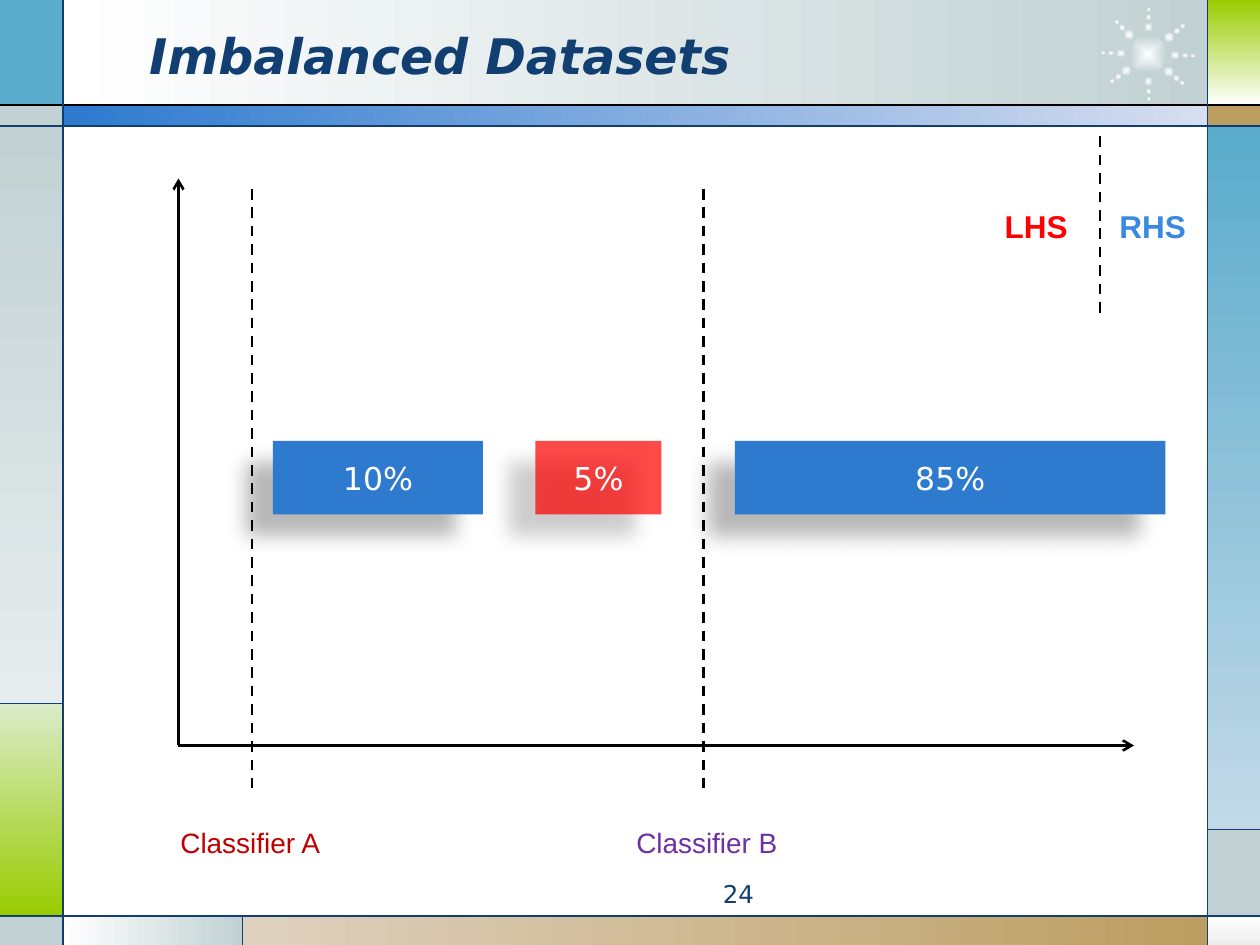
import math

from lxml import etree
from pptx import Presentation
from pptx.dml.color import RGBColor
from pptx.enum.dml import MSO_LINE
from pptx.enum.shapes import MSO_CONNECTOR, MSO_SHAPE
from pptx.enum.text import MSO_ANCHOR, MSO_AUTO_SIZE, PP_ALIGN
from pptx.oxml.ns import qn
from pptx.util import Pt

RECTANGLE, OVAL = MSO_SHAPE.RECTANGLE, MSO_SHAPE.OVAL
STRAIGHT, DASH = MSO_CONNECTOR.STRAIGHT, MSO_LINE.DASH
LEFT, CENTER, RIGHT = PP_ALIGN.LEFT, PP_ALIGN.CENTER, PP_ALIGN.RIGHT
TOP, MIDDLE = MSO_ANCHOR.TOP, MSO_ANCHOR.MIDDLE
FIT_SHAPE, NO_FIT = MSO_AUTO_SIZE.SHAPE_TO_FIT_TEXT, MSO_AUTO_SIZE.NONE

COLORS = {
    "white": "FFFFFF", "black": "000000", "navy": "113F71", "blue": "2D7ACF",
    "pale blue": "D7DEF0", "sky": "5AABCC", "pale sky": "C2D9E7",
    "gray": "C1D1D3", "pale gray": "E7EDEE", "silver": "EDEDED",
    "green": "99CC00", "pale green": "DBEBC9", "tan": "BD9E61",
    "pale tan": "DED1BF", "red": "FF0000", "dark red": "C00000",
    "purple": "7030A0", "light blue": "3989E1",
}
ACROSS, DOWN = 0, 270  # gradient angles, counter-clockwise
WIDTH, HEIGHT = 720, 540

# Frame grid: column and row edges
COL_LEFT, COL_FOOT, COL_RIGHT = 36, 138.5, 690
ROW_HEAD, ROW_BAR, ROW_GREEN, ROW_GRAY, ROW_FOOT = 60, 72, 402, 474, 523.5

FRAME_PANELS = [  # left, top, right, bottom, colours, gradient angle
    (COL_LEFT, 0, COL_RIGHT, ROW_HEAD, ("white", "gray"), ACROSS),
    (0, 0, COL_LEFT, ROW_HEAD, ("sky",), None),
    (0, ROW_HEAD, COL_LEFT, ROW_BAR, ("gray",), None),
    (0, ROW_BAR, COL_LEFT, ROW_GREEN, ("gray", "pale gray"), DOWN),
    (0, ROW_GREEN, COL_LEFT, ROW_FOOT, ("pale green", "green"), DOWN),
    (0, ROW_FOOT, COL_LEFT, HEIGHT, ("gray",), None),
    (COL_LEFT, ROW_FOOT, COL_FOOT, HEIGHT, ("white", "gray"), ACROSS),
    (COL_FOOT, ROW_FOOT, COL_RIGHT, HEIGHT, ("pale tan", "tan"), ACROSS),
    (COL_RIGHT, ROW_FOOT, WIDTH, HEIGHT, ("white", "silver"), DOWN),
    (COL_RIGHT, ROW_GRAY, WIDTH, ROW_FOOT, ("gray",), None),
    (COL_RIGHT, ROW_BAR, WIDTH, ROW_GRAY, ("sky", "pale sky"), DOWN),
    (COL_RIGHT, ROW_HEAD, WIDTH, ROW_BAR, ("tan",), None),
    (COL_RIGHT, 0, WIDTH, ROW_HEAD, ("green", "white"), DOWN),
    (COL_LEFT, ROW_HEAD, COL_RIGHT, ROW_BAR, ("blue", "pale blue"), ACROSS),
]
FRAME_LINES = [
    (0, ROW_HEAD, WIDTH, ROW_HEAD, "black"),
    (0, ROW_BAR, WIDTH, ROW_BAR, "navy"),
    (0, ROW_FOOT, WIDTH, ROW_FOOT, "navy"),
    (COL_LEFT, 0, COL_LEFT, HEIGHT, "navy"),
    (COL_RIGHT, 0, COL_RIGHT, HEIGHT, "navy"),
    (COL_LEFT, ROW_GREEN, 0, ROW_GREEN, "navy"),
    (COL_FOOT, ROW_FOOT, COL_FOOT, HEIGHT, "navy"),
    (COL_RIGHT, ROW_GRAY, WIDTH, ROW_GRAY, "navy"),
]

# Sunburst: ray angles, and distance, length and width of the dots on a ray
SUN_X, SUN_Y, SUN_SIZE = 656, 31, 21.6
RAY_ANGLES = [2, 40, 89, 143, 182, 226, 271, 321]
RAY_DOTS = [(15.5, 5.4, 5), (21.2, 3.6, 3.2), (25.6, 2.8, 2.3)]


def rgb(name):
    return RGBColor.from_string(COLORS[name])


def add_element(parent, tag, **attributes):
    return etree.SubElement(parent, qn(tag), {key: str(value) for key, value in attributes.items()})


def write_text(shape, *runs, font="Arial", size=18, bold=False, italic=False,
               align=LEFT, anchor=TOP, wrap=True, fit=NO_FIT, tab=None):
    """Write (text, colour) runs as the shape's only paragraph."""
    frame = shape.text_frame
    frame.word_wrap, frame.auto_size, frame.vertical_anchor = wrap, fit, anchor
    paragraph = frame.paragraphs[0]
    paragraph.alignment = align
    if tab:
        tabs = add_element(paragraph._p.get_or_add_pPr(), "a:tabLst")
        add_element(tabs, "a:tab", pos=Pt(tab), algn="l")
    for text, color in runs:
        run = paragraph.add_run()
        run.text = text
        run.font.name, run.font.size = font, Pt(size)
        run.font.bold, run.font.italic = bold, italic
        run.font.color.rgb = rgb(color)


class SlideBuilder:
    heading_font = "DejaVu Sans"

    def __init__(self, slide):
        self.slide = slide

    def shape(self, kind, left, top, width, height, colors, angle=None):
        shape = self.slide.shapes.add_shape(kind, Pt(left), Pt(top), Pt(width), Pt(height))
        shape.shadow.inherit = False
        shape.line.fill.background()
        if len(colors) == 1:
            shape.fill.solid()
            shape.fill.fore_color.rgb = rgb(colors[0])
        else:
            shape.fill.gradient()
            for stop, color in zip(shape.fill.gradient_stops, colors):
                stop.color.rgb = rgb(color)
            if angle is not None:
                shape.fill.gradient_angle = angle
        return shape

    def glow(self, center_x, center_y, width, height, rotation):
        """Oval that fades from a white centre to gray."""
        shape = self.shape(OVAL, center_x - width / 2, center_y - height / 2,
                           width, height, ("white", "gray"))
        shape.rotation = rotation
        gradient = shape.element.spPr.find(qn("a:gradFill"))
        gradient.remove(gradient.find(qn("a:lin")))
        path = add_element(gradient, "a:path", path="shape")
        add_element(path, "a:fillToRect", l=50000, t=50000, r=50000, b=50000)

    def bar(self, left, width, text, color, opacity=None):
        shape = self.shape(RECTANGLE, left, 252, width, 42, (color,))
        properties = shape.element.spPr
        if opacity:
            solid = properties.find(qn("a:solidFill"))
            add_element(solid[0], "a:alpha", val=opacity * 1000)
        shadow = add_element(properties.find(qn("a:effectLst")), "a:outerShdw",
                             blurRad=Pt(11.8), dist=Pt(19.7), dir=141 * 60000,
                             algn="ctr", rotWithShape=0)
        shadow_color = add_element(shadow, "a:srgbClr", val=COLORS["black"])
        add_element(shadow_color, "a:alpha", val=28000)
        write_text(shape, (text, "white"), font=self.heading_font, align=CENTER, anchor=MIDDLE)

    def line(self, x1, y1, x2, y2, color="black", width=1.5, dashed=False, arrow=False):
        line = self.slide.shapes.add_connector(STRAIGHT, Pt(x1), Pt(y1), Pt(x2), Pt(y2))
        line.line.color.rgb = rgb(color)
        line.line.width = Pt(width)
        if dashed:
            line.line.dash_style = DASH
        if arrow:
            add_element(line.line._get_or_add_ln(), "a:tailEnd", type="arrow")
        add_element(line.element.spPr, "a:effectLst")

    def text(self, left, top, width, height, *runs, **style):
        box = self.slide.shapes.add_textbox(Pt(left), Pt(top), Pt(width), Pt(height))
        write_text(box, *runs, **style)

    def title(self, left, top, width, height, text):
        title = self.slide.shapes.title
        title.left, title.top, title.width, title.height = map(Pt, (left, top, width, height))
        write_text(title, (text, "navy"), font=self.heading_font, size=28,
                   bold=True, italic=True, anchor=MIDDLE)
        # Bring the title in front of the frame
        title.element.getparent().append(title.element)


def main():
    presentation = Presentation()
    presentation.slide_width, presentation.slide_height = Pt(WIDTH), Pt(HEIGHT)
    builder = SlideBuilder(presentation.slides.add_slide(presentation.slide_layouts[5]))

    # Frame panels
    for left, top, right, bottom, colors, angle in FRAME_PANELS:
        builder.shape(RECTANGLE, left, top, right - left, bottom - top, colors, angle)

    # Sunburst
    builder.glow(SUN_X, SUN_Y, SUN_SIZE, SUN_SIZE, 0)
    for angle in RAY_ANGLES:
        for distance, length, width in RAY_DOTS:
            builder.glow(SUN_X + distance * math.cos(math.radians(angle)),
                         SUN_Y + distance * math.sin(math.radians(angle)),
                         length, width, angle)

    # Frame lines
    for x1, y1, x2, y2, color in FRAME_LINES:
        builder.line(x1, y1, x2, y2, color, width=0.75)

    # Title and page number
    builder.title(78, 9, 528, 45, "Imbalanced Datasets")
    builder.text(270, 499, 168, 19.5, ("24", "navy"), font=builder.heading_font,
                 size=14, align=RIGHT)

    # Axes
    builder.line(102, 426, 648, 426, arrow=True)
    builder.line(102, 426, 102, 102, arrow=True)

    # Data groups and classifier boundaries
    builder.bar(420, 246, "85%", "blue")
    builder.bar(306, 72, "5%", "red", opacity=71)
    for x in (144, 402):
        builder.line(x, 108, x, 450, dashed=True)
    for left, text, color in ((96, "Classifier A", "dark red"), (356.5, "Classifier B", "purple")):
        builder.text(left, 468, 95.5, 26.6, (text, color), size=16, wrap=False, fit=FIT_SHAPE)

    # Side legend
    builder.text(567, 115, 123, 29, ("LHS\t", "red"), ("RHS", "light blue"),
                 bold=True, fit=FIT_SHAPE, tab=65.5)
    builder.bar(156, 120, "10%", "blue")
    builder.line(628.5, 78, 628.5, 180, dashed=True)

    presentation.save("out.pptx")


if __name__ == "__main__":
    main()
